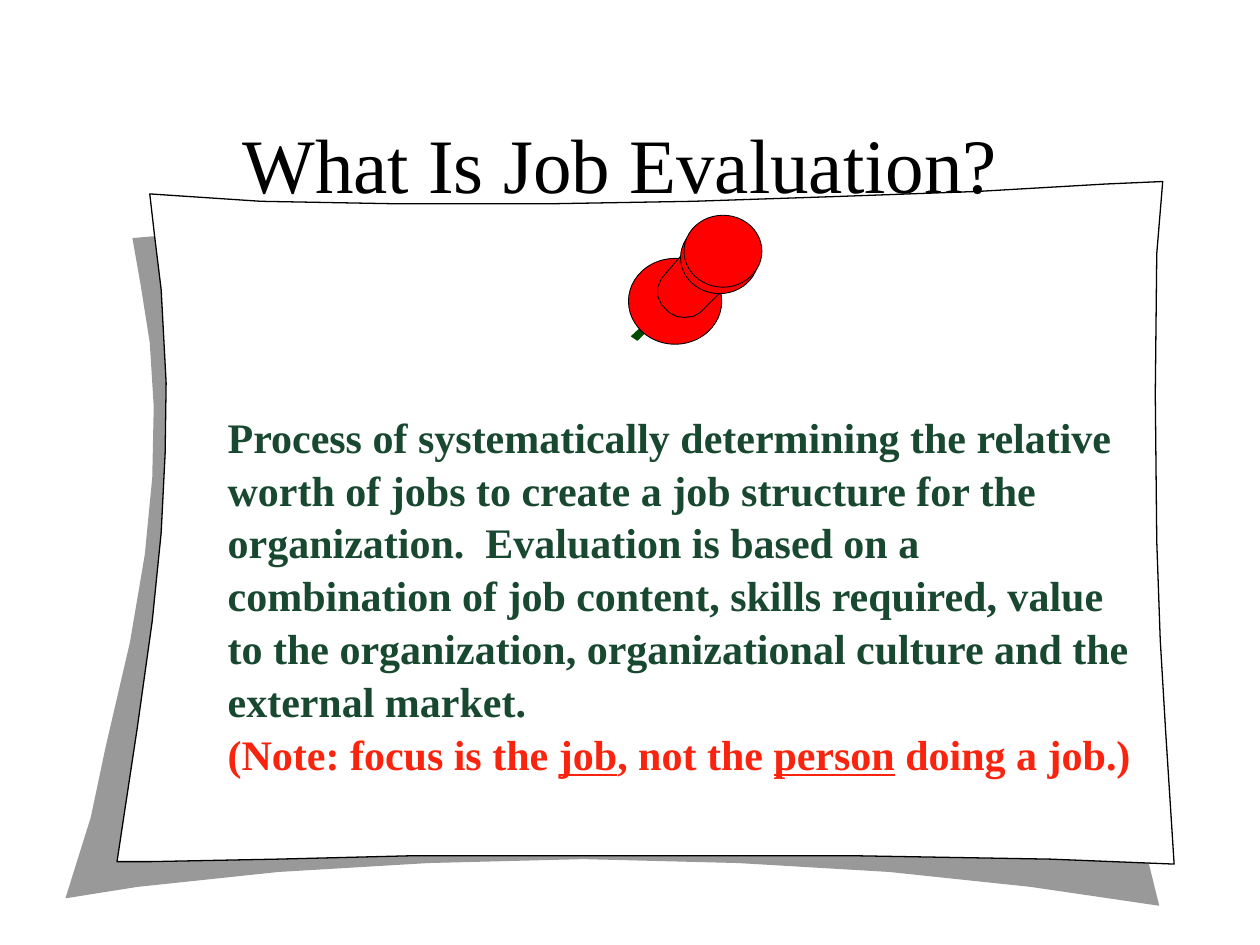
from dataclasses import dataclass

from pptx import Presentation
from pptx.dml.color import RGBColor
from pptx.enum.shapes import MSO_SHAPE
from pptx.enum.text import MSO_ANCHOR, PP_ALIGN
from pptx.util import Cm, Pt

OVAL = MSO_SHAPE.OVAL
MIDDLE = MSO_ANCHOR.MIDDLE
CENTER, LEFT = PP_ALIGN.CENTER, PP_ALIGN.LEFT


@dataclass(frozen=True)
class Theme:
    font: str = "Times New Roman"
    title_size: float = 44
    body_size: float = 24
    hairline: float = 0
    pin_line: float = 0.5
    black: str = "000000"
    paper: str = "FFFFFF"
    shadow: str = "999999"
    needle: str = "004C00"
    pin: str = "FF0000"
    body: str = "18482F"
    note: str = "FA240E"


SHADOW_OUTLINE = [
    (20.02, 4.7), (16.1, 4.5), (11.94, 4.45), (7.75, 4.5), (3.86, 4.7),
    (2.67, 4.8), (2.84, 5.77), (3.02, 6.91), (3.1, 8.2), (3.07, 9.63),
    (2.92, 11.18), (2.62, 12.95), (2.13, 15.06), (1.83, 16.48), (1.32, 18.11),
    (2.77, 17.88), (5.61, 17.58), (8.64, 17.4), (11.76, 17.32), (14.88, 17.4),
    (17.93, 17.58), (20.78, 17.88), (23.37, 18.26),
]
PAPER_OUTLINE = [
    (3.02, 3.91), (5.26, 4.06), (8.05, 4.11), (11.02, 4.11), (13.97, 4.06),
    (16.94, 3.96), (19.71, 3.86), (22.3, 3.71), (23.44, 3.66),
    (23.32, 5.11), (23.29, 7.95), (23.32, 10.92), (23.39, 12.9), (23.5, 14.76),
    (23.67, 17.42), (21.18, 17.32), (17.12, 17.25), (8.38, 17.25), (5.59, 17.32),
    (3.05, 17.37), (2.36, 17.37), (2.77, 14.66), (3.07, 12.52), (3.25, 10.74),
    (3.33, 9.14), (3.35, 7.72), (3.25, 5.84), (3.12, 4.78),
]
NEEDLE_OUTLINE = [(12.98, 6.55), (12.73, 6.78), (12.85, 6.86), (13.03, 6.68)]
SHAFT_OUTLINE = [
    (14.12, 6.3), (13.97, 6.38), (13.79, 6.4), (13.64, 6.38), (13.49, 6.3),
    (13.34, 6.15), (13.26, 5.97), (13.26, 5.79), (13.34, 5.61),
    (13.82, 5.05), (14.68, 5.74),
]

DEFINITION = (
    "Process of systematically determining the relative worth of jobs to create "
    "a job structure for the organization.  Evaluation is based on a combination "
    "of job content, skills required, value to the organization, organizational "
    "culture and the external market."
)
NOTE_SPANS = [
    ("(Note: focus is the ", False),
    ("job", True),
    (", not the ", False),
    ("person", True),
    (" doing a job.)", False),
]


class PageBuilder:
    def __init__(self, page, theme):
        self.page = page
        self.theme = theme
        self.drawing = page.shapes.add_group_shape().shapes

    def paint(self, shape, fill, line, width):
        shape.shadow.inherit = False
        shape.fill.solid()
        shape.fill.fore_color.rgb = RGBColor.from_string(fill)
        if line is None:
            shape.line.fill.background()
        else:
            shape.line.color.rgb = RGBColor.from_string(line)
            shape.line.width = Pt(width)

    def outline(self, points, fill, line=None, width=0):
        corners = [(Cm(x), Cm(y)) for x, y in points]
        builder = self.drawing.build_freeform(*corners[0])
        builder.add_line_segments(corners[1:], close=True)
        self.paint(builder.convert_to_shape(), fill, line, width)

    def disc(self, left, top, width, height):
        shape = self.drawing.add_shape(OVAL, Cm(left), Cm(top), Cm(width), Cm(height))
        self.paint(shape, self.theme.pin, self.theme.black, self.theme.pin_line)

    def text(self, left, top, width, height, paragraphs, size, bold=False,
             align=LEFT, spacing=1.0):
        box = self.page.shapes.add_textbox(Cm(left), Cm(top), Cm(width), Cm(height))
        frame = box.text_frame
        frame.word_wrap = True
        frame.vertical_anchor = MIDDLE
        for index, (spans, color) in enumerate(paragraphs):
            para = frame.add_paragraph() if index else frame.paragraphs[0]
            para.alignment = align
            para.line_spacing = spacing
            para.font.name = self.theme.font
            para.font.size = Pt(size)
            para.font.bold = bold
            para.font.color.rgb = RGBColor.from_string(color)
            for words, underlined in spans:
                span = para.add_run()
                span.text = words
                if underlined:
                    span.font.underline = True


def main():
    theme = Theme()
    deck = Presentation()
    deck.slide_width, deck.slide_height = Cm(25.4), Cm(19.05)
    builder = PageBuilder(deck.slides.add_slide(deck.slide_layouts[6]), theme)

    builder.outline(SHADOW_OUTLINE, theme.shadow)
    builder.outline(PAPER_OUTLINE, theme.paper, theme.black, theme.hairline)

    builder.outline(NEEDLE_OUTLINE, theme.needle, theme.needle, theme.pin_line)
    builder.disc(12.67, 5.21, 1.88, 1.73)
    builder.outline(SHAFT_OUTLINE, theme.pin, theme.black, theme.pin_line)
    builder.disc(13.72, 4.47, 1.57, 1.45)
    builder.disc(13.79, 4.34, 1.57, 1.45)

    builder.text(4.34, 7.32, 19, 9.3,
                 [([(DEFINITION, False)], theme.body), (NOTE_SPANS, theme.note)],
                 theme.body_size, bold=True, spacing=1.05)
    builder.text(1.9, 1.7, 21.6, 3.18,
                 [([("What Is Job Evaluation? ", False)], theme.black)],
                 theme.title_size, align=CENTER)

    deck.save("out.pptx")


if __name__ == "__main__":
    main()
